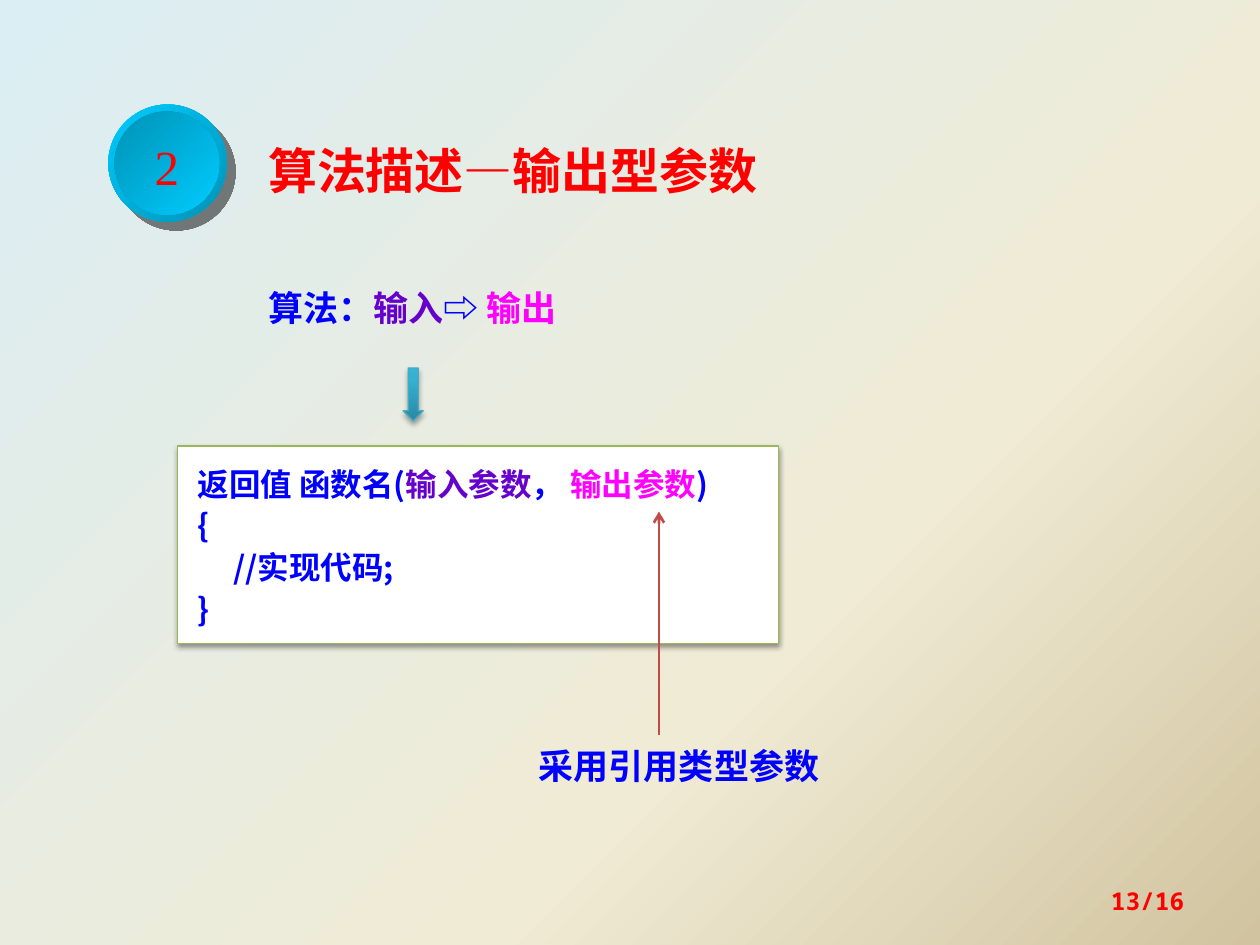
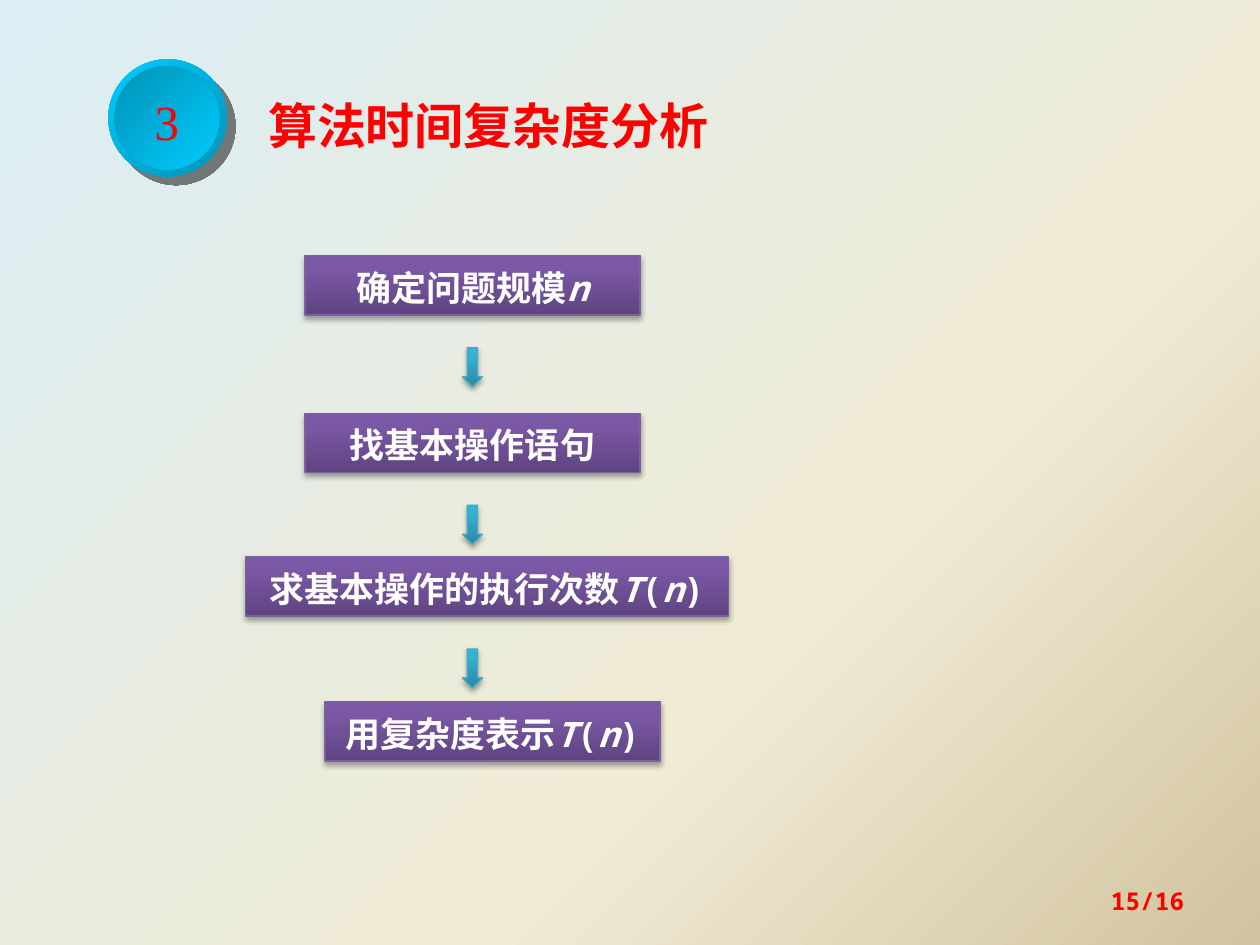
import pptx
import pptx.util
import pptx.dml.color
import pptx.enum.shapes
import pptx.enum.text
import pptx.oxml
import pptx.oxml.ns
from lxml import etree

Inches, Pt = pptx.util.Inches, pptx.util.Pt
RGB = pptx.dml.color.RGBColor
SHAPE = pptx.enum.shapes.MSO_SHAPE
ALIGN = pptx.enum.text.PP_ALIGN
ANCHOR = pptx.enum.text.MSO_ANCHOR
AUTO = pptx.enum.text.MSO_AUTO_SIZE
qn = pptx.oxml.ns.qn

# Shared style
RED, BLUE = RGB(0xFF, 0, 0), RGB(0, 0, 0xFF)
INPUT, OUTPUT = RGB(0x66, 0, 0xCC), RGB(0xFF, 0, 0xFF)
WHITE, BRICK = RGB(0xFF, 0xFF, 0xFF), RGB(0xBF, 0x4C, 0x48)
GREEN, PURPLE, TEAL = RGB(0x98, 0xB9, 0x55), RGB(0x7D, 0x60, 0xA0), RGB(0x46, 0xAA, 0xC5)
CYAN, DEEP_CYAN = RGB(0, 0xCC, 0xFF), RGB(0, 0x92, 0xB6)

# Gradients: stops in percent, then the clockwise angle
PAGE_GRAD = [(0, RGB(0xDB, 0xEE, 0xF4)), (65, RGB(0xF0, 0xEB, 0xD5)), (100, RGB(0xD1, 0xC3, 0x9F))], 45
RIM_GRAD = [(0, CYAN), (100, DEEP_CYAN)], 45
FACE_GRAD = [(0, DEEP_CYAN), (100, CYAN)], 45
STEP_GRAD = [(0, RGB(0x5F, 0x44, 0x80)), (80, RGB(0x7B, 0x58, 0xA6)), (100, RGB(0x7C, 0x57, 0xA8))], 270
ARROW_GRAD = [(0, RGB(0x2A, 0x88, 0xA2)), (80, RGB(0x37, 0xB1, 0xD2)), (100, RGB(0x34, 0xB4, 0xD6))], 270

# Shadows: colour, opacity, blur, distance, angle
BADGE_SHADOW = "020202", 50, 0, 7.1, 45
SOFT_SHADOW = "000000", 35, 3.1, 1.8, 90
CODE_SHADOW = "000000", 38, 3.1, 1.6, 90

CJK, MONO, SERIF = "Noto Sans CJK SC", "Noto Sans Mono", "Times New Roman"

# Content: a paragraph is a list of (text, overrides) runs
PAGES = [
    dict(number="2", title="算法描述―输出型参数", badge_top=0.83, page="13/16"),
    dict(number="3", title="算法时间复杂度分析", badge_top=0.47, page="15/16"),
]
SUMMARY = [[("算法：", {}), ("输入", dict(color=INPUT)), ("⇨ ", {}), ("输出", dict(color=OUTPUT))]]
CODE = [
    [("返回值 函数名(", {}), ("输入参数", dict(color=INPUT)), ("， ", {}),
     ("输出参数", dict(color=OUTPUT)), (")", {})],
    "{",
    "     //实现代码;",
    "}",
]
REFERENCE_NOTE = "采用引用类型参数"

ITALIC = dict(italic=True)
T_OF_N = [("T", ITALIC), ("(", {}), ("n", ITALIC), (")", {})]
STEPS = [  # left, top, width, text
    (2.42, 2.03, 2.66, [[("确定问题规模", {}), ("n", ITALIC)]]),
    (2.42, 3.28, 2.66, "找基本操作语句"),
    (1.95, 4.42, 3.83, [[("求基本操作的执行次数", {})] + T_OF_N]),
    (2.58, 5.57, 2.66, [[("用复杂度表示", {})] + T_OF_N]),
]
STEP_H, ARROW_GAP, ARROW_X, ARROW_W = 0.47, 0.26, 3.67, 0.16


def set_gradient(fill, element, grad):
    stops, angle = grad
    fill.gradient()
    fill.gradient_angle = 360 - angle
    gs_lst = next(element.iter(qn("a:gsLst")))
    for gs in list(gs_lst):
        gs_lst.remove(gs)
    for pos, color in stops:
        gs = etree.SubElement(gs_lst, qn("a:gs"), pos=str(pos * 1000))
        etree.SubElement(gs, qn("a:srgbClr"), val=str(color))


def set_shadow(shape, shadow):
    shape.shadow.inherit = False
    if shadow:
        color, opacity, blur, dist, angle = shadow
        effects = next(shape._element.iter(qn("a:effectLst")))
        outer = etree.SubElement(effects, qn("a:outerShdw"), blurRad=str(Pt(blur)), dist=str(Pt(dist)),
                                 dir=str(angle * 60000), algn="ctr", rotWithShape="0")
        clr = etree.SubElement(outer, qn("a:srgbClr"), val=color)
        etree.SubElement(clr, qn("a:alpha"), val=str(opacity * 1000))


def write(shape, text, size=20, color=BLUE, font=CJK, bold=True, align=ALIGN.LEFT, anchor=ANCHOR.TOP,
          spacing=1.1, insets=(0.1, 0.05, 0.1, 0.05), wrap=True, grow=True):
    tf = shape.text_frame
    tf.word_wrap = wrap
    tf.auto_size = AUTO.SHAPE_TO_FIT_TEXT if grow else AUTO.NONE
    tf.vertical_anchor = anchor
    tf.margin_left, tf.margin_top, tf.margin_right, tf.margin_bottom = map(Inches, insets)
    for i, runs in enumerate([text] if isinstance(text, str) else text):
        p = tf.add_paragraph() if i else tf.paragraphs[0]
        p.alignment, p.line_spacing = align, spacing
        for words, extra in [(runs, {})] if isinstance(runs, str) else runs:
            r = p.add_run()
            r.text = words
            r.font.size, r.font.bold, r.font.name = Pt(size), bold, font
            r.font.italic = extra.get("italic", False)
            r.font.color.rgb = extra.get("color", color)
            etree.SubElement(r.font._element, qn("a:ea"), typeface=CJK)


def add_text(s, box, text, **fmt):
    write(s.shapes.add_textbox(*map(Inches, box)), text, **fmt)


def add_shape(s, kind, box, fill, line=None, shadow=None):
    sp = s.shapes.add_shape(kind, *map(Inches, box))
    if isinstance(fill, RGB):
        sp.fill.solid()
        sp.fill.fore_color.rgb = fill
    else:
        set_gradient(sp.fill, sp._element, fill)
    if line is None:
        sp.line.fill.background()
    else:
        sp.line.color.rgb = line
        sp.line.width = Pt(0.75)
    set_shadow(sp, shadow)
    return sp


def add_down_arrow(s, left, top, height):
    add_shape(s, SHAPE.DOWN_ARROW, (left, top, ARROW_W, height), ARROW_GRAD, TEAL, SOFT_SHADOW)


def start_slide(prs, number, title, badge_top, page):
    s = prs.slides.add_slide(prs.slide_layouts[6])
    set_gradient(s.background.fill, s._element, PAGE_GRAD)
    # Numbered badge and title
    add_shape(s, SHAPE.OVAL, (0.86, badge_top, 0.94, 0.93), RIM_GRAD, shadow=BADGE_SHADOW)
    face = add_shape(s, SHAPE.OVAL, (0.91, badge_top + 0.055, 0.83, 0.82), FACE_GRAD)
    write(face, number, size=28, color=RED, font=SERIF, bold=False, align=ALIGN.CENTER,
          anchor=ANCHOR.MIDDLE, wrap=False, grow=False)
    add_text(s, (2.03, badge_top + 0.19, 4.84, 0.6), title, size=28, color=RED)
    # Page number
    add_text(s, (7.17, 6.95, 2.33, 0.4), page, size=14, color=RED, font=MONO, align=ALIGN.RIGHT,
             anchor=ANCHOR.MIDDLE, spacing=1.0, grow=False)
    return s


def add_output_parameters(s):
    add_text(s, (2.03, 2.19, 3.52, 0.44), SUMMARY)
    add_down_arrow(s, 3.2, 2.92, 0.42)
    # Function outline
    code = add_shape(s, SHAPE.RECTANGLE, (1.41, 3.54, 4.77, 1.57), WHITE, GREEN, CODE_SHADOW)
    write(code, CODE, size=18, insets=(0.16, 0.12, 0.1, 0.12))
    # Note pointing at the output parameter
    add_text(s, (4.06, 5.83, 2.66, 0.45), REFERENCE_NOTE, align=ALIGN.CENTER)
    pointer = s.shapes.add_connector(pptx.enum.shapes.MSO_CONNECTOR.STRAIGHT,
                                     *map(Inches, (5.23, 5.83, 5.23, 4.06)))
    pointer.line.color.rgb = BRICK
    pointer.line.width = Pt(1.5)
    etree.SubElement(pointer.line._get_or_add_ln(), qn("a:tailEnd"), type="arrow")
    etree.SubElement(pointer._element.spPr, qn("a:effectLst"))


def add_analysis_steps(s):
    for i, (left, top, width, text) in enumerate(STEPS):
        step = add_shape(s, SHAPE.RECTANGLE, (left, top, width, STEP_H), STEP_GRAD, PURPLE, SOFT_SHADOW)
        write(step, text, color=WHITE, font=MONO, align=ALIGN.CENTER)
        if i < len(STEPS) - 1:
            add_down_arrow(s, ARROW_X, top + STEP_H + ARROW_GAP, 0.31)


def main():
    prs = pptx.Presentation()
    prs.slide_width, prs.slide_height = Inches(10), Inches(7.5)
    for page, add_body in zip(PAGES, (add_output_parameters, add_analysis_steps)):
        add_body(start_slide(prs, **page))
    prs.save("out.pptx")


if __name__ == "__main__":
    main()
